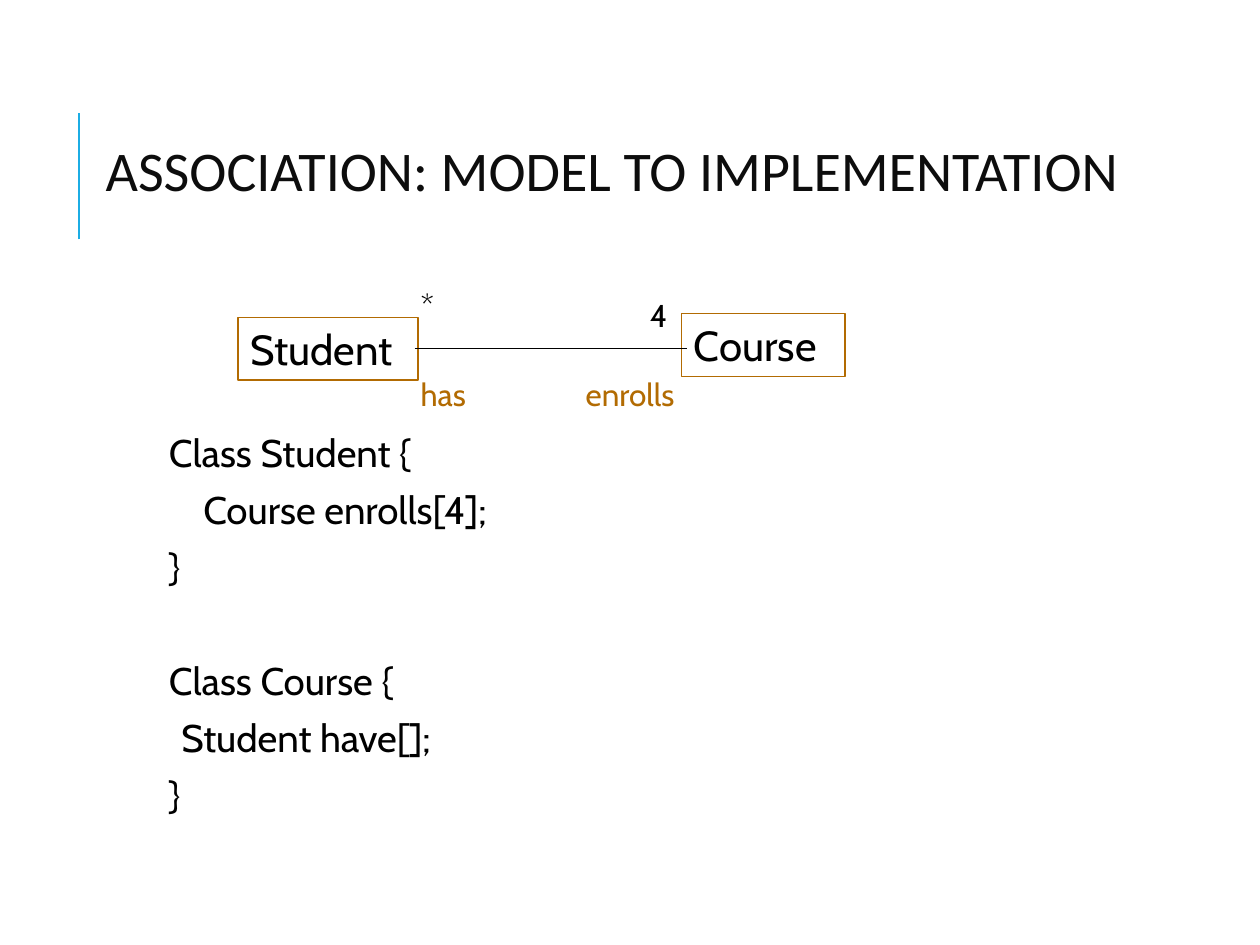
from pptx import Presentation
from pptx.dml.color import RGBColor
from pptx.enum.shapes import MSO_CONNECTOR as Conn, MSO_SHAPE as Kind
from pptx.enum.text import MSO_ANCHOR as Anchor, PP_ALIGN as Align
from pptx.oxml.xmlchemy import OxmlElement as Node
from pptx.util import Pt


def color(code):
    return RGBColor.from_string(code)


def write(para, text, size, code="000000", face="Cabin"):
    para.text = text
    para.alignment = Align.LEFT
    font = para.font
    font.name, font.size = face, Pt(size)
    font.color.rgb = color(code)


deck = Presentation()
deck.slide_width, deck.slide_height = Pt(720), Pt(540)
slide = deck.slides.add_slide(deck.slide_layouts[6])
shapes = slide.shapes

title = shapes.add_textbox(Pt(53.3), Pt(55.4), Pt(613.4), Pt(89.3)).text_frame
title.word_wrap = True
title.vertical_anchor = Anchor.MIDDLE
head = title.paragraphs[0]
head.line_spacing = 0.8
write(head, "ASSOCIATION: MODEL TO IMPLEMENTATION", 32, "0D0D0D", "Calibri")

code = shapes.add_textbox(Pt(92.9), Pt(249.1), Pt(606.2), Pt(234)).text_frame
code.word_wrap = True
code.margin_left = code.margin_right = Pt(3.6)
rows = [
    ("Class Student {", 0),
    ("    Course enrolls[4];", 12),
    ("}", 12),
    ("Class Course {", 44.5),
    ("\tStudent have[];", 12),
    ("}", 12),
]
for i, (text, gap) in enumerate(rows):
    para = code.add_paragraph() if i else code.paragraphs[0]
    props = para._p.get_or_add_pPr()
    props.set("marL", str(Pt(7.2)))
    props.set("indent", str(-Pt(7.2)))
    para.line_spacing = 0.7
    para.space_before, para.space_after = Pt(gap), Pt(2)
    write(para, text, 22)

for text, x, y, wide in [("Student", 136.1, 181.4, 103), ("Course", 389.5, 179.2, 93.6)]:
    box = shapes.add_shape(Kind.RECTANGLE, Pt(x), Pt(y), Pt(wide), Pt(36))
    box.shadow.inherit = False
    box.fill.background()
    box.line.color.rgb = color("B26B02")
    box.line.width = Pt(1)
    box.text_frame.word_wrap = True
    box.text_frame.vertical_anchor = Anchor.TOP
    write(box.text_frame.paragraphs[0], text, 24)

for x1, y1, x2, y2, shade, thick in [
    (45.2, 136.8, 45.2, 64.8, "1CADE4", 1.5),
    (236.9, 199.2, 392.4, 199.2, "000000", 0.75),
]:
    line = shapes.add_connector(Conn.STRAIGHT, Pt(x1), Pt(y1), Pt(x2), Pt(y2))
    line.line.color.rgb = color(shade)
    line.line.width = Pt(thick)
    line._element.spPr.append(Node("a:effectLst"))

for text, x, y, wide, shade in [
    ("enrolls", 327.6, 211, 72, "B26B02"),
    ("has", 233.3, 211, 44, "B26B02"),
    ("*", 233.3, 159.8, 22.3, "000000"),
    ("4", 364.3, 165.6, 24.5, "000000"),
]:
    label = shapes.add_textbox(Pt(x), Pt(y), Pt(wide), Pt(28.8)).text_frame
    label.word_wrap = True
    write(label.paragraphs[0], text, 18, shade)

deck.save("out.pptx")
